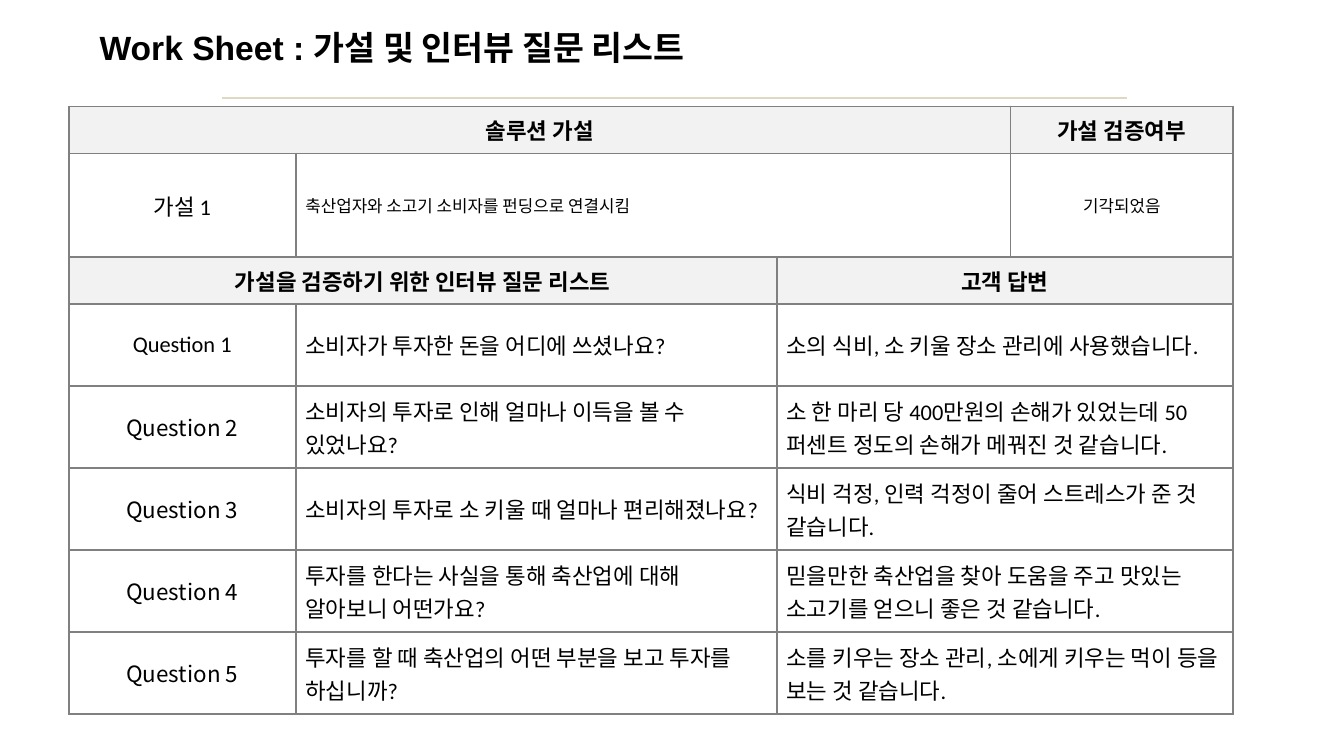
from dataclasses import dataclass
from lxml.etree import SubElement
from pptx import Presentation
from pptx.dml.color import RGBColor
from pptx.enum.shapes import MSO_CONNECTOR
from pptx.enum.text import MSO_ANCHOR, MSO_AUTO_SIZE, PP_ALIGN
from pptx.oxml import parse_xml
from pptx.oxml.ns import nsdecls, qn
from pptx.util import Cm, Pt


@dataclass(frozen=True)
class Theme:
    ink: RGBColor = RGBColor(0, 0, 0)
    head: RGBColor = RGBColor(0xF2, 0xF2, 0xF2)
    rule: RGBColor = RGBColor(0xDD, 0xD9, 0xC3)
    edge: str = "808080"
    title: Pt = Pt(18)
    body: Pt = Pt(12)
    small: Pt = Pt(9)
    latin: str = "Calibri"
    asian: str = "Noto Sans CJK KR"
    bold: str = "Arial"


theme = Theme()


def style(para, face, size, bold, align):
    para.alignment = align
    font = para.font
    font.name, font.size, font.bold = face, size, bold
    font.color.rgb = theme.ink
    SubElement(para._p.pPr.find(qn("a:defRPr")), qn("a:ea"), typeface=theme.asian)


def border(cell):
    props = cell._tc.get_or_add_tcPr()
    for place, side in enumerate("LRTB"):
        props.insert(place, parse_xml(
            f'<a:ln{side} {nsdecls("a")} w="{Pt(1)}"><a:solidFill>'
            f'<a:srgbClr val="{theme.edge}"/></a:solidFill></a:ln{side}>'))


deck = Presentation()
deck.slide_width, deck.slide_height = Cm(25.4), Cm(14.29)
slide = deck.slides.add_slide(deck.slide_layouts[5])

title = slide.shapes.title
title.left, title.top, title.width, title.height = Cm(1.63), Cm(0.38), Cm(12.7), Cm(1.02)
frame = title.text_frame
frame.text = "Work Sheet : 가설 및 인터뷰 질문 리스트"
frame.word_wrap = True
frame.auto_size = MSO_AUTO_SIZE.SHAPE_TO_FIT_TEXT
frame.vertical_anchor = MSO_ANCHOR.TOP
style(frame.paragraphs[0], theme.bold, theme.title, True, PP_ALIGN.LEFT)

widths = [4.29, 9.09, 4.42, 4.2]
heights = [0.89, 1.96, 0.89] + [1.55] * 5
table = slide.shapes.add_table(
    len(heights), len(widths), Cm(1.3), Cm(2.01), Cm(sum(widths)), Cm(sum(heights))).table
table.first_row = table.horz_banding = False
for col, width in zip(table.columns, widths):
    col.width = Cm(width)
for row, height in zip(table.rows, heights):
    row.height = Cm(height)

pairs = [
    ("소비자가 투자한 돈을 어디에 쓰셨나요?", "소의 식비, 소 키울 장소 관리에 사용했습니다."),
    ("소비자의 투자로 인해 얼마나 이득을 볼 수 있었나요?",
     "소 한 마리 당 400만원의 손해가 있었는데 50퍼센트 정도의 손해가 메꿔진 것 같습니다."),
    ("소비자의 투자로 소 키울 때 얼마나 편리해졌나요?",
     "식비 걱정, 인력 걱정이 줄어 스트레스가 준 것 같습니다."),
    ("투자를 한다는 사실을 통해 축산업에 대해 알아보니 어떤가요?",
     "믿을만한 축산업을 찾아 도움을 주고 맛있는 소고기를 얻으니 좋은 것 같습니다."),
    ("투자를 할 때 축산업의 어떤 부분을 보고 투자를 하십니까?",
     "소를 키우는 장소 관리, 소에게 키우는 먹이 등을 보는 것 같습니다."),
]
head = (theme.asian, theme.body, True, PP_ALIGN.CENTER)
label = (theme.latin, theme.body, False, PP_ALIGN.CENTER)
query = (theme.asian, theme.body, False, PP_ALIGN.CENTER)
reply = (theme.latin, theme.body, False, PP_ALIGN.LEFT)
claim = (theme.asian, theme.small, False, PP_ALIGN.LEFT)
result = (theme.latin, theme.small, False, PP_ALIGN.CENTER)

lines = [
    [("솔루션 가설", 3, head), ("가설 검증여부", 1, head)],
    [("가설 1", 1, label), ("축산업자와 소고기 소비자를 펀딩으로 연결시킴", 2, claim),
     ("기각되었음", 1, result)],
    [("가설을 검증하기 위한 인터뷰 질문 리스트", 2, head), ("고객 답변", 2, head)],
]
for number, (ask, answer) in enumerate(pairs, 1):
    lines.append([(f"Question {number}", 1, label if number == 1 else query),
                  (ask, 1, reply), (answer, 2, reply)])

for row, line in enumerate(lines):
    start = 0
    for text, span, look in line:
        cell = table.cell(row, start)
        if span > 1:
            cell.merge(table.cell(row, start + span - 1))
        cell.text = text
        style(cell.text_frame.paragraphs[0], *look)
        for col in range(start, start + span):
            part = table.cell(row, col)
            part.vertical_anchor = MSO_ANCHOR.MIDDLE
            part.margin_left = part.margin_right = Cm(0.18)
            part.margin_top = part.margin_bottom = Cm(0.1)
            if look == head:
                part.fill.solid()
                part.fill.fore_color.rgb = theme.head
            else:
                part.fill.background()
            border(part)
        start += span

rule = slide.shapes.add_connector(
    MSO_CONNECTOR.STRAIGHT, Cm(4.19), Cm(1.85), Cm(21.29), Cm(1.85))
rule.line.color.rgb = theme.rule
rule.line.width = Pt(0.75)
SubElement(rule._element.spPr, qn("a:effectLst"))

deck.save("out.pptx")
